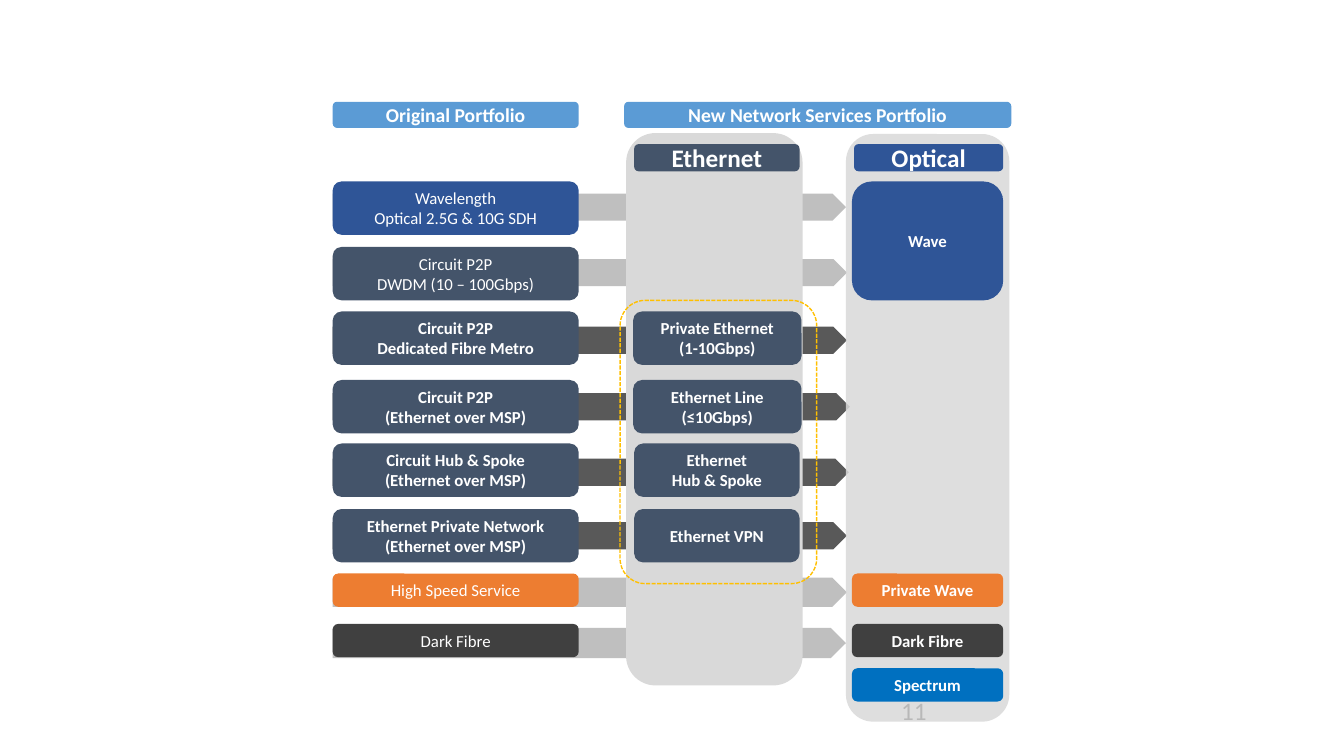
from lxml import etree
from pptx import Presentation
from pptx import util as u
from pptx.dml.color import RGBColor
from pptx.enum import dml, shapes, text
from pptx.oxml import ns

COLORS = {
    "white": "FFFFFF", "black": "000000", "panel": "D9D9D9", "heading": "5B9BD5",
    "optical": "2F5597", "ethernet": "44546A", "orange": "ED7D31", "dark": "404040",
    "spectrum": "0070C0", "light_arrow": "BFBFBF", "dark_arrow": "595959", "frame": "FFC000",
}
ROUNDED = shapes.MSO_SHAPE.FLOWCHART_ALTERNATE_PROCESS
TALL, LOW = 0.53, 0.33

# Offset, height, colour, bold, lines of each original service
SERVICES = [
    (0, TALL, "optical", False, ["Wavelength", "Optical 2.5G & 10G SDH"]),
    (0.65, TALL, "ethernet", False, ["Circuit P2P", "DWDM (10 – 100Gbps)"]),
    (1.29, TALL, "ethernet", True, ["Circuit P2P", "Dedicated Fibre Metro"]),
    (1.97, TALL, "ethernet", True, ["Circuit P2P", "(Ethernet over MSP)"]),
    (2.6, TALL, "ethernet", True, ["Circuit Hub & Spoke", "(Ethernet over MSP)"]),
    (3.25, TALL, "ethernet", True, ["Ethernet Private Network", "(Ethernet over MSP)"]),
    (3.89, LOW, "orange", False, ["High Speed Service"]),
    (4.39, LOW, "dark", False, ["Dark Fibre"]),
]
# Offset, length, height, colour of the arrow behind each service
ARROWS = [
    (0.12, 5.09, 0.27, "light_arrow"), (0.77, 5.1, 0.27, "light_arrow"),
    (1.44, 5.1, 0.27, "dark_arrow"), (2.1, 5.13, 0.27, "dark_arrow"),
    (2.75, 5.12, 0.27, "dark_arrow"), (3.38, 5.1, 0.27, "dark_arrow"),
    (3.93, 5.1, 0.29, "light_arrow"), (4.43, 5.09, 0.3, "light_arrow"),
]
# Left inset, offset, width, lines of each Ethernet product
ETHERNET = [
    (0.07, 1.77, 1.67, ["Private Ethernet", "(1-10Gbps)"]),
    (0.07, 2.45, 1.67, ["Ethernet Line", "(≤10Gbps)"]),
    (0.08, 3.08, 1.64, ["Ethernet", "Hub & Spoke"]),
    (0.08, 3.73, 1.64, ["Ethernet VPN"]),
]
# Offset, height, colour, name of each optical product
OPTICAL = [
    (0.47, 1.18, "optical", "Wave"),
    (4.36, LOW, "orange", "Private Wave"),
    (4.86, LOW, "dark", "Dark Fibre"),
    (5.3, LOW, "spectrum", "Spectrum"),
]


def rgb(name):
    return RGBColor.from_string(COLORS[name])


def write(tf, lines, align, color="white", **font):
    tf.word_wrap = True
    tf.vertical_anchor = text.MSO_ANCHOR.MIDDLE
    for i, line in enumerate(lines):
        p = tf.paragraphs[0] if i == 0 else tf.add_paragraph()
        p.alignment = align
        r = p.add_run()
        r.text = line
        r.font.color.rgb = rgb(color)
        for name, value in {"name": "Calibri", **font}.items():
            setattr(r.font, name, value)


def block(s, box, color, lines=(), size=12, bold=True, kind=ROUNDED):
    sp = s.shapes.add_shape(kind, *map(u.Inches, box))
    sp.shadow.inherit = False
    sp.line.fill.background()
    sp.fill.solid()
    sp.fill.fore_color.rgb = rgb(color)
    write(sp.text_frame, lines, text.PP_ALIGN.CENTER, size=u.Pt(size), bold=bold)
    return sp


def arrows(s, box):
    x, y = box[:2]
    for top, length, height, color in ARROWS:
        block(s, (x, y + top, length, height), color, kind=shapes.MSO_SHAPE.PENTAGON)


def page_number(s, box):
    tf = s.shapes.add_textbox(*map(u.Inches, box)).text_frame
    write(tf, ["11"], text.PP_ALIGN.RIGHT, "black", size=u.Pt(18))


def optical_panel(s, box):
    x, y, w, h = box
    panel = block(s, box, "panel")
    color = panel._element.spPr.find(".//" + ns.qn("a:srgbClr"))
    etree.SubElement(color, ns.qn("a:alpha"), val="85000")
    block(s, (x + 0.08, y + 0.1, 1.48, 0.27), "optical", ["Optical"], 18)
    for top, height, fill, name in OPTICAL:
        block(s, (x + 0.06, y + top, 1.5, height), fill, [name])


def ethernet_panel(s, box):
    x, y, w, h = box
    block(s, box, "panel")
    block(s, (x + 0.08, y + 0.11, 1.64, 0.27), "ethernet", ["Ethernet"], 18)
    for left, top, width, lines in ETHERNET:
        block(s, (x + left, y + top, width, TALL), "ethernet", lines)


def original_services(s, box):
    x, y, w, h = box
    for top, height, color, bold, lines in SERVICES:
        block(s, (x, y + top, w, height), color, lines, bold=bold)


def dashed_frame(s, box):
    sp = s.shapes.add_shape(shapes.MSO_SHAPE.ROUNDED_RECTANGLE, *map(u.Inches, box))
    sp.shadow.inherit = False
    sp.adjustments[0] = 0.128
    sp.fill.background()
    sp.line.color.rgb = rgb("frame")
    sp.line.width = u.Pt(1)
    sp.line.dash_style = dml.MSO_LINE.SQUARE_DOT


def main():
    prs = Presentation()
    prs.slide_width, prs.slide_height = u.Inches(13.33), u.Inches(7.5)
    s = prs.slides.add_slide(prs.slide_layouts[6])
    services = (3.3, 1.8, 2.44, 4.72)

    # Layers from back to front
    page_number(s, (8.66, 6.93, 0.63, 0.24))
    arrows(s, services)
    optical_panel(s, (8.39, 1.33, 1.62, 5.83))
    ethernet_panel(s, (6.21, 1.32, 1.75, 5.48))
    original_services(s, services)

    # Column headings
    block(s, (3.3, 1.01, 2.44, 0.26), "heading", ["Original Portfolio"], 14)
    block(s, (6.19, 1.01, 3.84, 0.26), "heading", ["New Network Services Portfolio"], 14)

    dashed_frame(s, (6.15, 2.98, 1.95, 2.81))
    prs.save("out.pptx")


if __name__ == "__main__":
    main()
